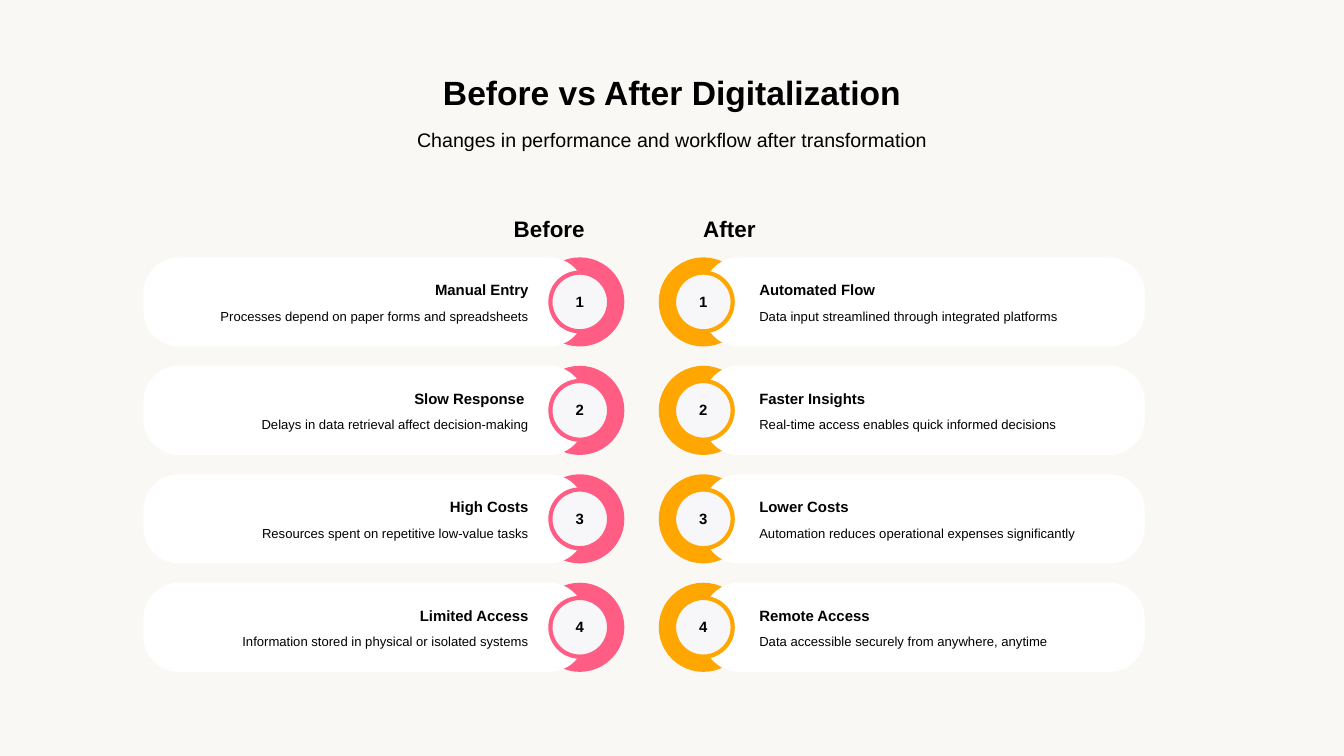
from pptx import Presentation
from pptx.dml.color import RGBColor as Rgb
from pptx.enum.shapes import MSO_SHAPE as Kind
from pptx.enum.text import MSO_ANCHOR as Anchor, MSO_AUTO_SIZE as Auto, PP_ALIGN as Align
from pptx.util import Cm, Pt

HUES = {"back": "F9F8F5", "card": "FFFFFF", "badge": "F7F6F9", "ink": "000000",
        "before": "FF5D83", "after": "FFA601"}

# Font size, weight and line spacing in points
STYLES = {
    "title": {"size": 36, "bold": True, "lead": 50.4},
    "sub": {"size": 21, "bold": False, "lead": 23.1},
    "side": {"size": 24, "bold": True, "lead": 26.4},
    "head": {"size": 16, "bold": True, "lead": 17.6},
    "body": {"size": 14, "bold": False, "lead": 19.6},
}

RING, BADGE = 3.37, 2.22
CARD, CORNER = 16.69, 0.4
ROW_TOP, PITCH = 1.53, 4.1

# Offsets in cm from the left of each column; "text" and "label" are the aligned edges
SIDES = [
    {"name": "Before", "hue": "before", "box": (5.42, 8.2), "align": Align.RIGHT,
     "card": 0, "ring": 14.81, "text": 14.56, "label": 16.68,
     "rows": [
         ("Manual Entry", "Processes depend on paper forms and spreadsheets"),
         ("Slow Response ", "Delays in data retrieval affect decision-making"),
         ("High Costs", "Resources spent on repetitive low-value tasks"),
         ("Limited Access", "Information stored in physical or isolated systems")]},
    {"name": "After", "hue": "after", "box": (24.9, 8.2), "align": Align.LEFT,
     "card": 1.68, "ring": 0, "text": 3.8, "label": 1.68,
     "rows": [
         ("Automated Flow", "Data input streamlined through integrated platforms"),
         ("Faster Insights", "Real-time access enables quick informed decisions"),
         ("Lower Costs", "Automation reduces operational expenses significantly"),
         ("Remote Access", "Data accessible securely from anywhere, anytime")]},
]


def tint(name):
    return Rgb.from_string(HUES[name])


def write(shape, text, style, align, anchor=Anchor.TOP):
    look = STYLES[style]
    frame = shape.text_frame
    frame.text = text
    para = frame.paragraphs[0]
    font = para.runs[0].font
    formats = [
        (frame, {"word_wrap": True, "auto_size": Auto.NONE, "vertical_anchor": anchor,
                 "margin_left": 0, "margin_right": 0, "margin_top": 0, "margin_bottom": 0}),
        (para, {"alignment": align, "line_spacing": Pt(look["lead"]), "space_before": Pt(0)}),
        (font, {"name": "Arial", "size": Pt(look["size"]), "bold": look["bold"]}),
    ]
    for target, values in formats:
        for key, value in values.items():
            setattr(target, key, value)
    font.color.rgb = tint("ink")


def draw(slide, kind, x, y, w, h, fill, line=None):
    shape = slide.shapes.add_shape(kind, Cm(x), Cm(y), Cm(w), Cm(h))
    shape.shadow.inherit = False
    shape.fill.solid()
    shape.fill.fore_color.rgb = tint(fill)
    if line:
        shape.line.color.rgb = tint(line)
        shape.line.width = Pt(4.5)
    else:
        shape.line.fill.background()
    return shape


def label(slide, edge, y, w, h, text, style, align):
    """Text box that starts or ends at the edge, as its alignment asks."""
    x = edge - w if align == Align.RIGHT else edge
    box = slide.shapes.add_textbox(Cm(x), Cm(y), Cm(w), Cm(h))
    write(box, text, style, align)


def header(slide, x, y, w):
    parts = [(slide.shapes.title, 0, 1.85, "title", "Before vs After Digitalization"),
             (slide.placeholders[1], 2.44, 0.81, "sub",
              "Changes in performance and workflow after transformation")]
    for shape, drop, h, style, text in parts:
        shape.left, shape.top, shape.width, shape.height = Cm(x), Cm(y + drop), Cm(w), Cm(h)
        write(shape, text, style, Align.CENTER)


def row(slide, side, x, y, num, head, body):
    # Ring behind the card, numbered badge in front
    ring, gap = x + side["ring"], (RING - BADGE) / 2
    draw(slide, Kind.OVAL, ring, y, RING, RING, side["hue"])
    card = draw(slide, Kind.ROUNDED_RECTANGLE, x + side["card"], y, CARD, RING, "card")
    card.adjustments[0] = CORNER
    badge = draw(slide, Kind.OVAL, ring + gap, y + gap, BADGE, BADGE, "badge", side["hue"])
    write(badge, str(num), "head", Align.CENTER, Anchor.MIDDLE)

    # Heading and detail
    edge, align = x + side["text"], side["align"]
    label(slide, edge, y + 0.94, 6.3, 0.68, head, "head", align)
    label(slide, edge, y + 1.82, 14.23, 0.66, body, "body", align)


def column(slide, side):
    x, y = side["box"]
    label(slide, x + side["label"], y, 6.3, 1.02, side["name"], "side", side["align"])
    for i, (head, body) in enumerate(side["rows"]):
        row(slide, side, x, y + ROW_TOP + i * PITCH, i + 1, head, body)


def main():
    deck = Presentation()
    deck.slide_width, deck.slide_height = Cm(50.8), Cm(28.58)
    slide = deck.slides.add_slide(deck.slide_layouts[0])
    slide.background.fill.solid()
    slide.background.fill.fore_color.rgb = tint("back")

    header(slide, 7.2, 2.46, 36.4)
    for side in SIDES:
        column(slide, side)
    deck.save("out.pptx")


if __name__ == "__main__":
    main()
